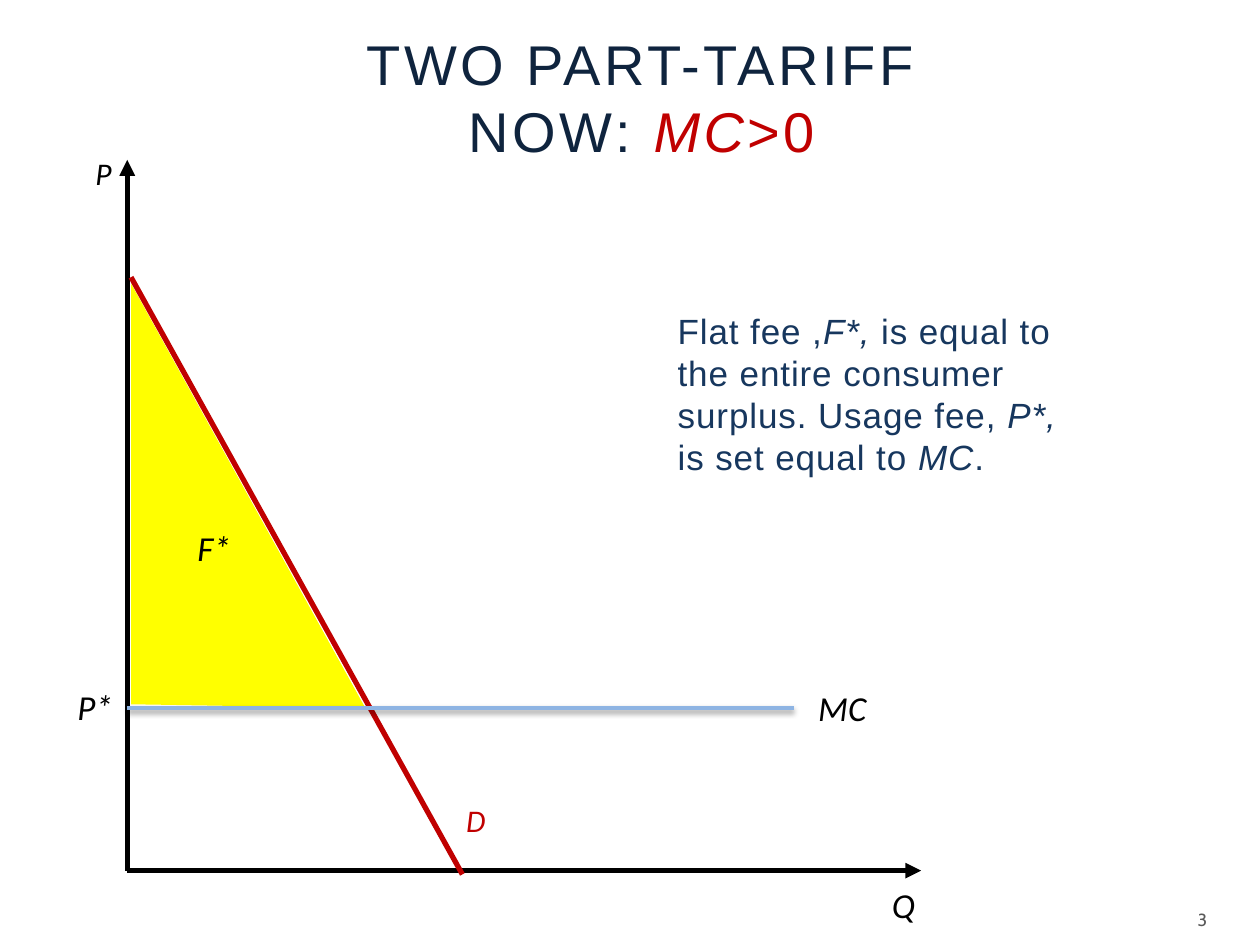
from lxml import etree
from pptx import Presentation
from pptx.dml.color import RGBColor
from pptx.enum.shapes import MSO_CONNECTOR
from pptx.enum.text import MSO_ANCHOR, PP_ALIGN
from pptx.oxml import parse_xml
from pptx.oxml.ns import nsdecls, qn
from pptx.util import Inches, Pt

BLACK = RGBColor(0x00, 0x00, 0x00)
NAVY = RGBColor(0x0F, 0x24, 0x3E)
BLUE = RGBColor(0x17, 0x37, 0x5E)
LIGHT_BLUE = RGBColor(0x8E, 0xB4, 0xE3)
RED = RGBColor(0xC0, 0x00, 0x00)
YELLOW = RGBColor(0xFF, 0xFF, 0x00)
GRAY = RGBColor(0x59, 0x59, 0x59)

deck = Presentation()
deck.slide_width = Inches(10)
deck.slide_height = Inches(7.5)
page = deck.slides.add_slide(deck.slide_layouts[6])


def add_text(place, parts, size, font, color, align=PP_ALIGN.LEFT,
             anchor=MSO_ANCHOR.TOP, wrap=True, spacing=0):
    box = page.shapes.add_textbox(*[Inches(length) for length in place])
    frame = box.text_frame
    frame.word_wrap = wrap
    frame.vertical_anchor = anchor
    para = frame.paragraphs[0]
    para.alignment = align
    para.text = parts[0][0]
    for text, _ in parts[1:]:
        para.add_run().text = text
    for span in para.runs:
        span.font.size = Pt(size)
        span.font.name = font
        span.font.color.rgb = color
        span.font.italic = (span.text, True) in parts
        if spacing:
            span.font._element.set("spc", str(spacing))
    return para


def add_line(start, end, color, width, arrow=False, shadow=False):
    line = page.shapes.add_connector(
        MSO_CONNECTOR.STRAIGHT, *[Inches(length) for length in start + end])
    line.line.color.rgb = color
    line.line.width = Pt(width)
    if arrow:
        etree.SubElement(line.line._get_or_add_ln(), qn("a:tailEnd"), type="triangle")
    effect = ('<a:outerShdw blurRad="39370" dist="20320" dir="5400000" rotWithShape="0">'
              '<a:srgbClr val="000000"><a:alpha val="38000"/></a:srgbClr>'
              '</a:outerShdw>') if shadow else ""
    line._element.spPr.append(
        parse_xml(f'<a:effectLst {nsdecls("a")}>{effect}</a:effectLst>'))


title = add_text((0.5, 0.14, 9.19, 1.25),
                 [("TWO PART-TARIFF\vNOW: ", False), ("MC", True), (">0", False)],
                 32, "Arial", NAVY, PP_ALIGN.CENTER, MSO_ANCHOR.MIDDLE, spacing=200)
for span in title.runs[-2:]:
    span.font.color.rgb = RED

builder = page.shapes.build_freeform(Inches(1.04), Inches(5.59))
builder.add_line_segments([(Inches(1.04), Inches(2.25)), (Inches(2.9), Inches(5.62))])
surplus = builder.convert_to_shape()
surplus.shadow.inherit = False
surplus.fill.solid()
surplus.fill.fore_color.rgb = YELLOW
surplus.line.fill.background()

add_text((5.28, 2.41, 3.22, 1.5),
         [("Flat fee ,", False), ("F*, ", True),
          ("is equal to the entire consumer surplus. Usage fee, ", False),
          ("P*,", True), (" is set equal to ", False), ("MC", True), (".", False)],
         20, "Arial", BLUE, spacing=50)
add_text((7.35, 7.1, 2.33, 0.4), [("3", False)], 10, "Cabin", GRAY,
         PP_ALIGN.RIGHT, MSO_ANCHOR.MIDDLE, spacing=300)

origin = (1.01, 6.91)
add_line(origin, (1.01, 1.27), BLACK, 3, arrow=True)
add_line(origin, (7.31, 6.91), BLACK, 3, arrow=True)
add_line((1.04, 2.2), (3.67, 6.94), RED, 3)
add_line((1.01, 5.62), (6.3, 5.62), LIGHT_BLUE, 2, shadow=True)

for label, place, size, color in [
    ("D", (3.6, 6.31, 0.88, 0.41), 18, RED),
    ("P", (0.66, 1.17, 0.7, 0.41), 18, BLACK),
    ("Q", (6.98, 6.96, 1.63, 0.44), 20, BLACK),
]:
    add_text(place, [(label, True)], size, "Calibri", color)

for label, place in [
    ("F*", (1.46, 4.13, 0.48, 0.44)),
    ("MC", (6.39, 5.4, 0.59, 0.44)),
    ("P*", (0.51, 5.39, 0.49, 0.44)),
]:
    add_text(place, [(label, True)], 20, "Calibri", BLACK, PP_ALIGN.CENTER, wrap=False)

deck.save("out.pptx")
